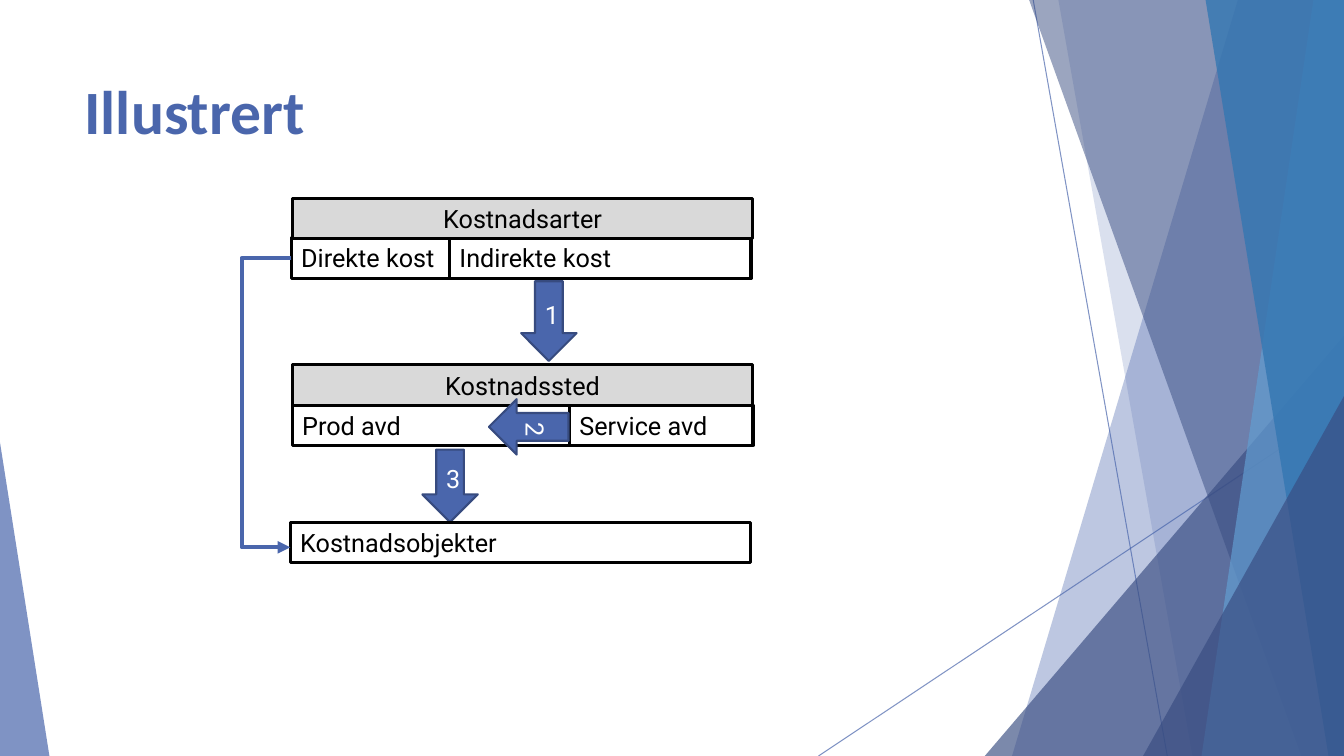
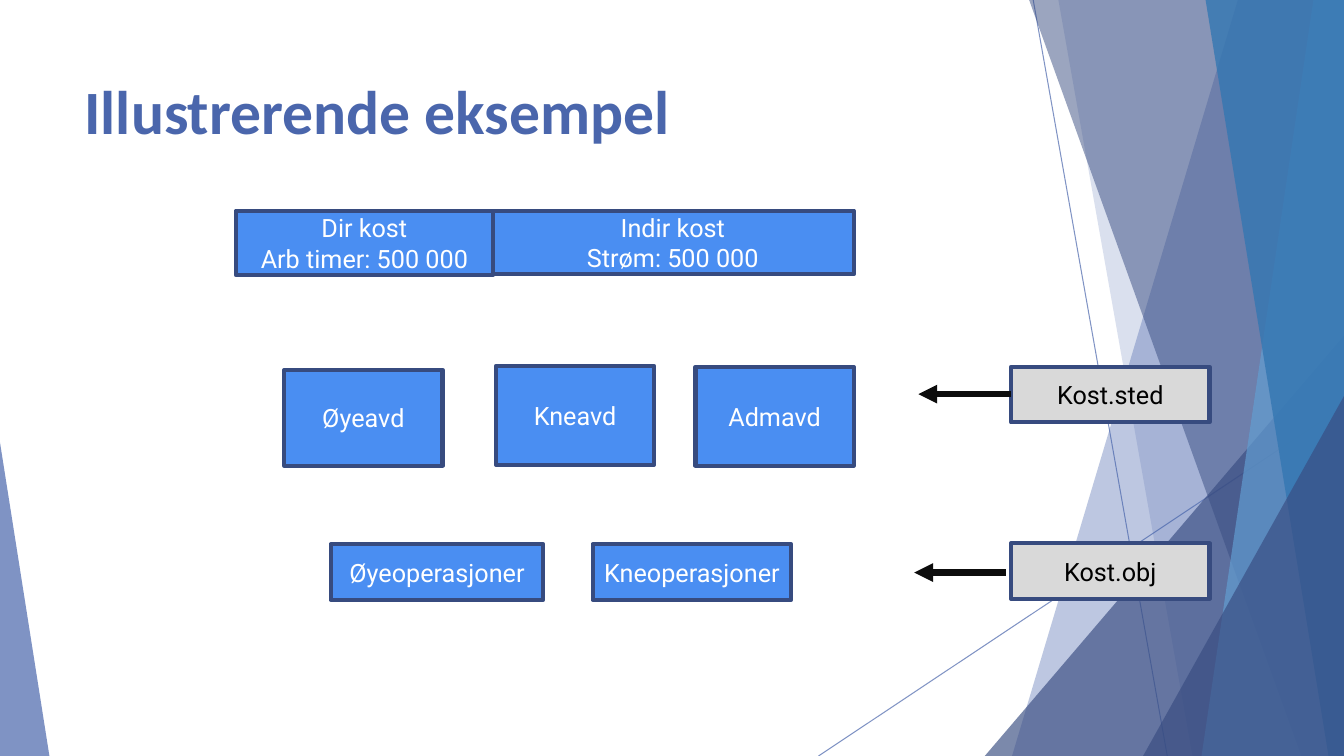
from typing import NamedTuple

from pptx import Presentation, util as u
from pptx.dml.color import RGBColor
from pptx.enum import shapes as es, text as et
from pptx.oxml import ns, xmlchemy as xc

# Grid: one step is a tenth of an inch
STEP = 91440
COLS, ROWS = 133.33, 75
PAL = {
    "main": "4A66AC", "navy": "384C81", "edge": "374B7F", "sky": "629DD1",
    "sea": "3477B2", "blue": "4A8EF2", "grey": "D9D9D9", "black": "000000",
    "white": "FFFFFF", "ink": "0D0D0D",
}
RECT = es.MSO_SHAPE.RECTANGLE
DOWN = es.MSO_SHAPE.DOWN_ARROW
TRI = es.MSO_SHAPE.ISOSCELES_TRIANGLE
LEFT, MID = et.PP_ALIGN.LEFT, et.PP_ALIGN.CENTER
TOP, CENTER = et.MSO_ANCHOR.TOP, et.MSO_ANCHOR.MIDDLE


class Look(NamedTuple):
    fill: str | None
    line: str
    width: float
    ink: str
    align: et.PP_ALIGN = MID
    anchor: et.MSO_ANCHOR = CENTER
    kind: es.MSO_SHAPE = RECT


class Box(NamedTuple):
    col: float
    row: float
    wide: float
    high: float
    look: Look
    lines: tuple[str, ...]
    turn: int = 0


class Wire(NamedTuple):
    start: tuple[float, float]
    end: tuple[float, float]
    ink: str
    width: float
    alpha: int = 100
    head: bool = False
    bend: float | None = None  # elbow position, in widths of the wire


class Band(NamedTuple):
    head: float  # column at the top edge
    foot: float  # column at the bottom edge
    ink: str
    alpha: int


class Wedge(NamedTuple):
    col: float
    row: float
    wide: float
    tip: int
    ink: str
    alpha: int


CELL = Look(None, "black", 2.25, "black", LEFT, TOP)
HEAD = Look("grey", "black", 2.25, "black", MID, TOP)
FLOW = Look("main", "edge", 1.5, "white", kind=DOWN)
CARD = Look("blue", "edge", 3, "white")
TAG = Look("grey", "edge", 3, "black")

# Decoration shared by the slides, from back to front
DECOR = (
    Wire((102.5, 0), (115.8, ROWS), "main", 0.75, 70),
    Wire((COLS, 40.3), (81.2, ROWS), "main", 0.75, 70),
    Band(122.8, 100.4, "main", 36),
    Band(105, 118.3, "main", 20),
    Wedge(97.7, 33.3, 35.63, 1, "navy", 66),
    Band(102.1, 129.1, "navy", 50),
    Band(130.3, 119.2, "sky", 70),
    Band(119.6, 131.8, "sea", 80),
    Wedge(113.4, 39.3, 19.93, 1, "navy", 66),
    Wedge(0, 43.9, 4.9, 0, "main", 70),
)


def grid(n: float) -> int:
    return round(n * STEP)


def rgb(name: str) -> RGBColor:
    return RGBColor.from_string(PAL[name])


def fade(shape, alpha: int) -> None:
    for tint in shape._element.iter(ns.qn("a:srgbClr")):
        xc.OxmlElement("a:alpha")
        node = xc.OxmlElement("a:alpha")
        node.set("val", str(alpha * 1000))
        tint.append(node)


def flat(shape, ink: str, alpha: int) -> None:
    shape.shadow.inherit = False
    shape.fill.solid()
    shape.fill.fore_color.rgb = rgb(ink)
    shape.line.fill.background()
    fade(shape, alpha)


def write(frame, line: str, first: bool, face: str, size: int, ink: str,
          align: et.PP_ALIGN = LEFT, bold: bool = False) -> None:
    para = frame.paragraphs[0] if first else frame.add_paragraph()
    para.alignment = align
    run = para.add_run()
    run.text = line
    run.font.name, run.font.size, run.font.bold = face, u.Pt(size), bold
    run.font.color.rgb = rgb(ink)


def draw_wire(slide, wire: Wire) -> None:
    kind = es.MSO_CONNECTOR.STRAIGHT if wire.bend is None else es.MSO_CONNECTOR.ELBOW
    link = slide.shapes.add_connector(
        kind, *map(grid, wire.start), *map(grid, wire.end))
    link.line.color.rgb = rgb(wire.ink)
    link.line.width = u.Pt(wire.width)
    if wire.alpha < 100:
        fade(link, wire.alpha)
    props = link._element.spPr
    if wire.head:
        tip = xc.OxmlElement("a:tailEnd")
        tip.set("type", "triangle")
        props.find(ns.qn("a:ln")).append(tip)
    if wire.bend is not None:
        shape = props.find(ns.qn("a:prstGeom"))
        guide = xc.OxmlElement("a:gd")
        guide.set("name", "adj1")
        guide.set("fmla", f"val {round(wire.bend * 100000)}")
        shape.get_or_add_avLst().append(guide)
    props.append(xc.OxmlElement("a:effectLst"))


def draw_band(slide, band: Band) -> None:
    pen = slide.shapes.build_freeform(grid(band.head), 0)
    edge = ((COLS, 0), (COLS, ROWS), (band.foot, ROWS))
    pen.add_line_segments([(grid(x), grid(y)) for x, y in edge], close=True)
    flat(pen.convert_to_shape(), band.ink, band.alpha)


def draw_wedge(slide, wedge: Wedge) -> None:
    place = (wedge.col, wedge.row, wedge.wide, ROWS - wedge.row)
    shape = slide.shapes.add_shape(TRI, *map(grid, place))
    shape.adjustments[0] = wedge.tip
    flat(shape, wedge.ink, wedge.alpha)


def draw_box(slide, box: Box) -> None:
    look = box.look
    shape = slide.shapes.add_shape(look.kind, *map(grid, box[:4]))
    shape.shadow.inherit = False
    shape.rotation = box.turn
    if look.fill is None:
        shape.fill.background()
    else:
        shape.fill.solid()
        shape.fill.fore_color.rgb = rgb(look.fill)
    shape.line.color.rgb = rgb(look.line)
    shape.line.width = u.Pt(look.width)
    frame = shape.text_frame
    frame.word_wrap = True
    frame.vertical_anchor = look.anchor
    for i, line in enumerate(box.lines):
        write(frame, line, i == 0, "Roboto", 18, look.ink, look.align)


DRAW = {Wire: draw_wire, Band: draw_band, Wedge: draw_wedge, Box: draw_box}


def add_slide(deck, title: str, parts: tuple) -> None:
    slide = deck.slides.add_slide(deck.slide_layouts[6])
    for part in DECOR:
        DRAW[type(part)](slide, part)
    frame = slide.shapes.add_textbox(*map(grid, (7.4, 6.7, 94, 14.4))).text_frame
    frame.word_wrap = True
    write(frame, title, True, "Calibri", 44, "main", bold=True)
    for part in parts:
        DRAW[type(part)](slide, part)


# Cost flow: types, places and objects
WIDE, HIGH = 45.7, 4
FLOWS = (
    Box(28.9, 23.6, WIDE, HIGH, CELL, ("Direkte kost",)),
    Box(44.6, 23.6, 29.9, HIGH, CELL, ("Indirekte kost",)),
    Box(51.7, 27.9, 5.5, 7.9, FLOW, ("1",)),
    Box(29, 40.2, WIDE, HIGH, CELL, ("Prod avd",)),
    Box(56.5, 40.2, 18.2, HIGH, CELL, ("Service avd",)),
    Box(41.9, 44.6, 5.5, 7.2, FLOW, ("3",)),
    Box(28.8, 51.8, WIDE, HIGH, CELL, ("Kostnadsobjekter",)),
    Wire((28.9, 25.6), (28.8, 54.3), "main", 3, head=True, bend=50),
    Box(29, 19.7, WIDE, HIGH, HEAD, ("Kostnadsarter",)),
    Box(29, 36.2, WIDE, HIGH, HEAD, ("Kostnadssted",)),
    Box(49.7, 38.4, 5.5, 7.9, FLOW, ("2",), 90),
)

# Worked example: costs, departments and operations
CASE = (
    Box(28.2, 36.7, 15.7, 9.5, CARD, ("Øyeavd",)),
    Box(49.2, 36.3, 15.7, 9.8, CARD, ("Kneavd",)),
    Box(69, 36.4, 15.7, 9.8, CARD, ("Admavd",)),
    Box(48.8, 20.9, 35.9, 6.3, CARD, ("Indir kost", "Strøm: 500 000")),
    Box(23.4, 20.9, 25.5, 6.4, CARD, ("Dir kost", "Arb timer: 500 000")),
    Box(32.8, 54, 21.1, 5.5, CARD, ("Øyeoperasjoner",)),
    Box(58.8, 54, 19.7, 5.5, CARD, ("Kneoperasjoner",)),
    Box(100.3, 36.4, 19.7, 5.5, TAG, ("Kost.sted",)),
    Box(100.3, 53.9, 19.7, 5.5, TAG, ("Kost.obj",)),
    Wire((100.3, 39.1), (91.1, 39.1), "ink", 4.5, head=True),
    Wire((99.8, 56.8), (90.7, 56.8), "ink", 4.5, head=True),
)


def main() -> None:
    deck = Presentation()
    deck.slide_width, deck.slide_height = grid(COLS), grid(ROWS)
    add_slide(deck, "Illustrert", FLOWS)
    add_slide(deck, "Illustrerende eksempel", CASE)
    deck.save("out.pptx")


if __name__ == "__main__":
    main()
